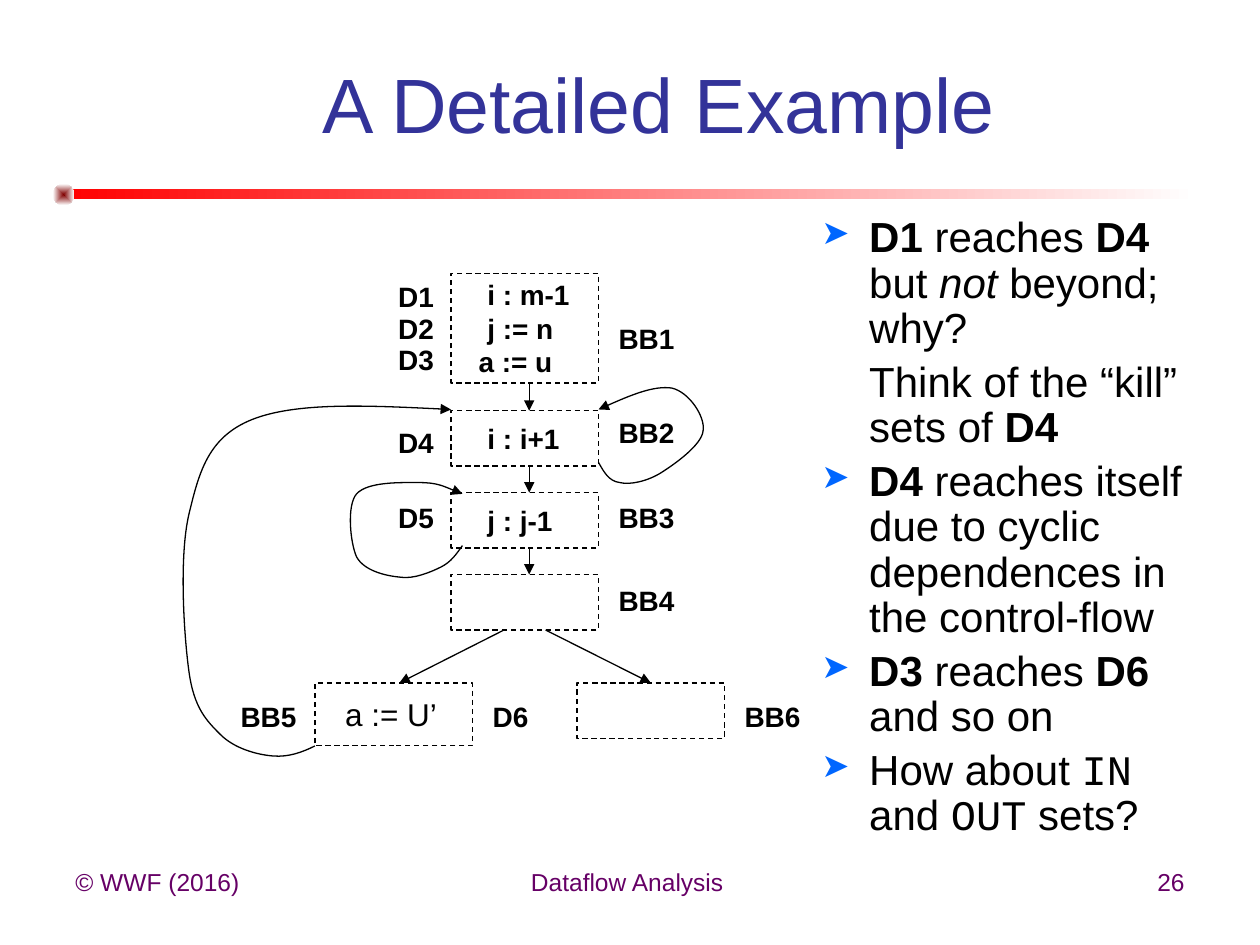
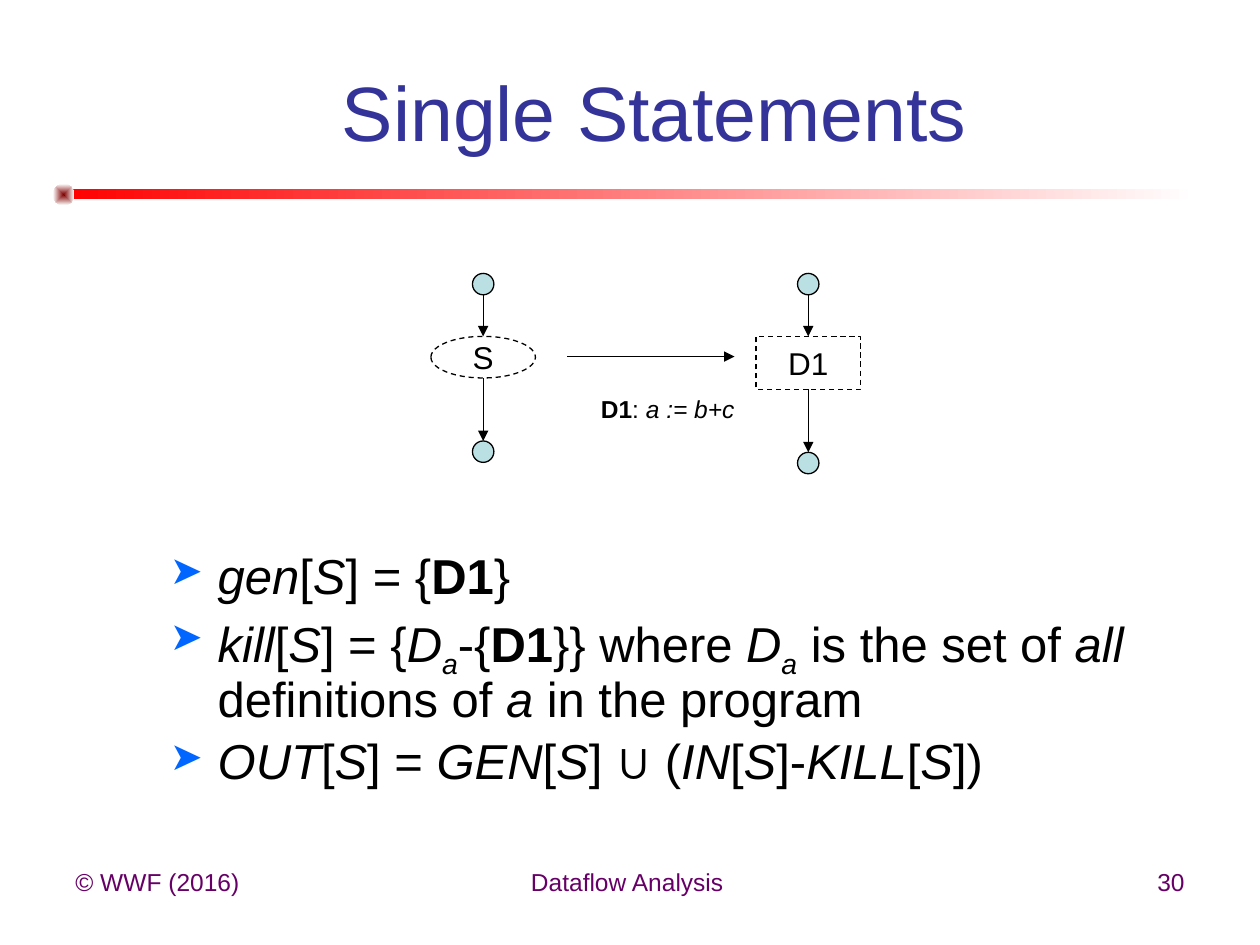
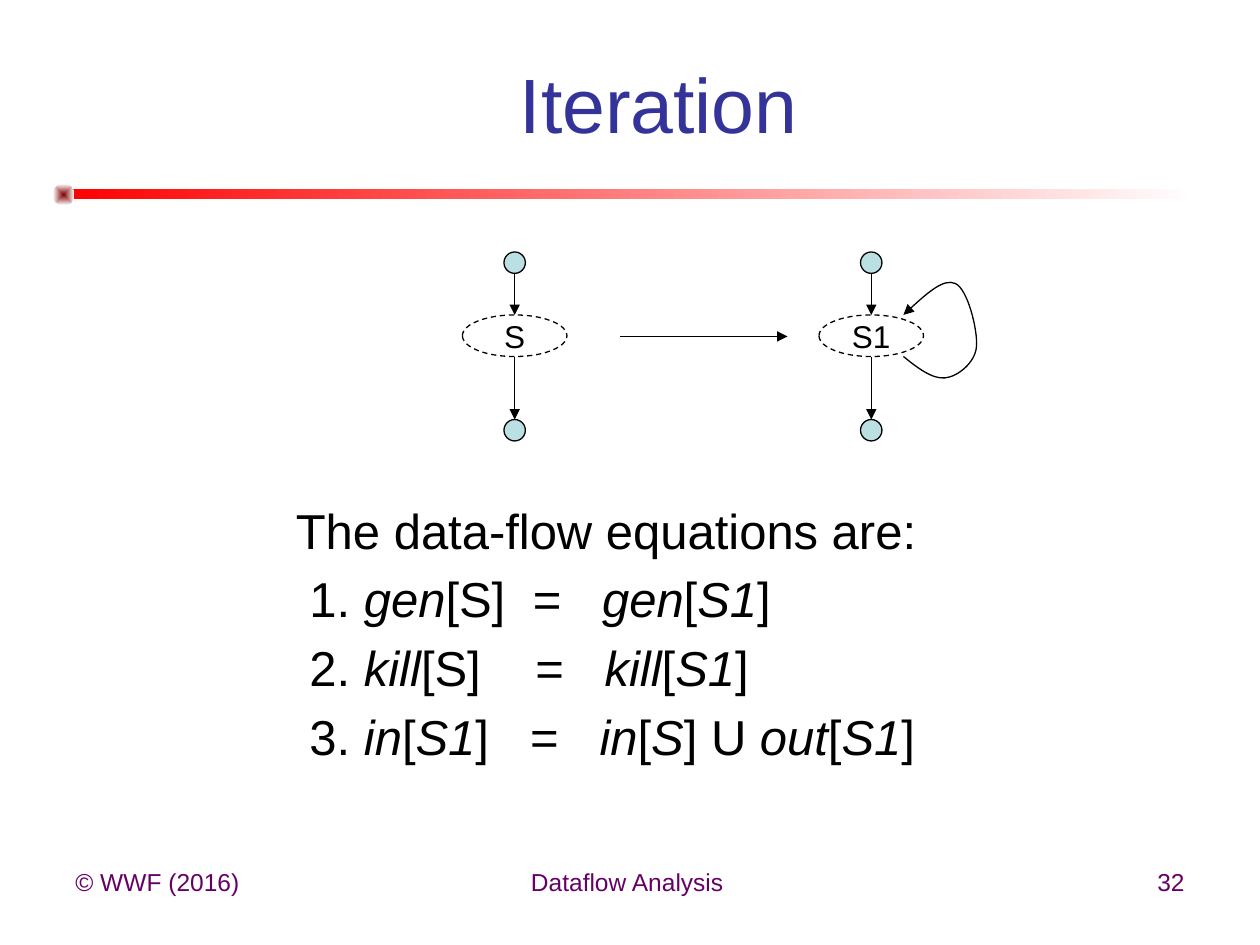
from dataclasses import dataclass

from lxml import etree
from pptx import Presentation
from pptx.dml.color import RGBColor
from pptx.enum.dml import MSO_LINE
from pptx.enum.shapes import MSO_CONNECTOR, MSO_SHAPE
from pptx.enum.text import MSO_ANCHOR, PP_ALIGN
from pptx.oxml.ns import qn
from pptx.util import Inches, Pt

RECTANGLE, OVAL = MSO_SHAPE.RECTANGLE, MSO_SHAPE.OVAL
STRAIGHT, DASH = MSO_CONNECTOR.STRAIGHT, MSO_LINE.DASH
LEFT, CENTER, RIGHT = PP_ALIGN.LEFT, PP_ALIGN.CENTER, PP_ALIGN.RIGHT
TOP, MIDDLE = MSO_ANCHOR.TOP, MSO_ANCHOR.MIDDLE


@dataclass(frozen=True)
class Theme:
    title = RGBColor(0x33, 0x33, 0x99)
    text = RGBColor(0, 0, 0)
    footer = RGBColor(0x66, 0, 0x66)
    band = RGBColor(0xFF, 0, 0)
    knob = RGBColor(0x80, 0, 0)
    paper = RGBColor(0xFF, 0xFF, 0xFF)
    dot = RGBColor(0xBB, 0xE0, 0xE3)
    bullet = "0066FF"
    font = "Arial"
    code_font = "Courier New"
    title_size = 44
    node_size = 18
    label_size = 16
    small_size = 14
    line_width = 0.75


theme = Theme()


def write(shape, paragraphs, size, color=theme.text, align=LEFT, anchor=TOP):
    frame = shape.text_frame
    frame.word_wrap = True
    frame.vertical_anchor = anchor
    for number, spans in enumerate(paragraphs):
        para = frame.add_paragraph() if number else frame.paragraphs[0]
        para.alignment = align
        for marked in spans:
            text, _, style = marked.partition("|")
            span = para.add_run()
            span.text = text
            font = span.font
            font.size = Pt(size)
            font.color.rgb = color
            font.bold = "b" in style
            font.italic = "i" in style
            font.name = theme.code_font if "c" in style else theme.font
            if "s" in style:
                span._r.get_or_add_rPr().set("baseline", "-25000")
    return frame.paragraphs


def outline(shape, visible=True, dashed=False, arrow=False):
    if visible:
        shape.line.color.rgb = theme.text
        shape.line.width = Pt(theme.line_width)
    else:
        shape.line.fill.background()
    if dashed:
        shape.line.dash_style = DASH
    properties = shape._element.spPr
    if arrow:
        etree.SubElement(properties.find(qn("a:ln")), qn("a:tailEnd"), type="triangle")
    etree.SubElement(properties, qn("a:effectLst"))


slides = [
    ("A Detailed Example", "26", (1.16, 0.55, 8.14, 0.53), (6.42, 1.67, 3.08, 5.59), 24, 0.9, [
        ("bullet", (), ["D1|b", " reaches ", "D4|b", " but ", "not|i", " beyond; why?"]),
        ("follow", (), ["Think of the “kill” sets of ", "D4|b"]),
        ("bullet", (), ["D4|b", " reaches itself due to cyclic dependences in the control-flow"]),
        ("bullet", (), ["D3|b", " reaches ", "D6|b", " and so on"]),
        ("bullet", (), ["How about ", "IN|c", " and ", "OUT|c", " sets?"]),
    ]),
    ("Single Statements", "30", (1.5, 0.58, 7.39, 0.6), (1.25, 4.33, 8, 2.26), 28, 0.9, [
        ("bullet", (), ["gen|i", "[", "S|i", "] = {", "D1|b", "}"]),
        ("bullet", (), ["kill|i", "[", "S|i", "] = {", "D|i", "a|is", "-{", "D1|b", "}} where ",
                        "D|i", "a|is", " is the set of ", "all|i", " definitions of ", "a|i",
                        " in the program"]),
        ("bullet", (), ["OUT|i", "[", "S|i", "] = ", "GEN|i", "[", "S|i", "] ∪ (", "IN|i", "[",
                        "S|i", "]-", "KILL|i", "[", "S|i", "])"]),
    ]),
    ("Iteration", "32", (1.16, 0.55, 8.14, 0.53), (2.25, 3.92, 6.75, 4.42), 28, 1.0, [
        ("plain", (), ["The data-flow equations are:"]),
        ("plain", (1.88, 2.43), [" 1.", " gen|i", "[S]\t=\t", "gen|i", "[", "S1|i", "]"]),
        ("plain", (1.9, 2.45), [" 2. ", "kill|i", "[S]\t=\t", "kill|i", "[", "S1|i", "]"]),
        ("plain", (1.86, 2.41), [" 3. ", "in|i", "[", "S1|i", "]\t=\t", "in|i", "[", "S|i",
                                 "] U ", "out|i", "[", "S1|i", "]"]),
    ]),
]

deck = Presentation()
deck.slide_width, deck.slide_height = Inches(10), Inches(7.5)
pages = []

for title, number, title_place, body_place, size, line_spacing, body in slides:
    page = deck.slides.add_slide(deck.slide_layouts[6])
    pages.append(page)

    for kind, place, color in [
        (RECTANGLE, (0.5, 1.5, 9, 0.08), theme.band),
        (OVAL, (0.42, 1.46, 0.17, 0.17), theme.knob),
    ]:
        ornament = page.shapes.add_shape(kind, *map(Inches, place))
        ornament.fill.gradient()
        ornament.fill.gradient_angle = 0
        for stop, shade in zip(ornament.fill.gradient_stops, (color, theme.paper)):
            stop.color.rgb = shade
        outline(ornament, visible=False)
    gradient = ornament._element.spPr.find(qn("a:gradFill"))
    gradient.remove(gradient.find(qn("a:lin")))
    radial = etree.SubElement(gradient, qn("a:path"), path="shape")
    etree.SubElement(radial, qn("a:fillToRect"), l="50000", t="50000", r="50000", b="50000")

    for text, left, width, align in [
        ("© WWF (2016)", 0.5, 2.33, LEFT),
        ("Dataflow Analysis ", 3.42, 3.17, CENTER),
        (number, 7.17, 2.33, RIGHT),
    ]:
        footer = page.shapes.add_textbox(Inches(left), Inches(6.83), Inches(width), Inches(0.52))
        write(footer, [[text]], theme.small_size, theme.footer, align)

    heading = page.shapes.add_textbox(*map(Inches, title_place))
    write(heading, [[title]], theme.title_size, theme.title, CENTER, MIDDLE)

    box = page.shapes.add_textbox(*map(Inches, body_place))
    paras = write(box, [spans for _, _, spans in body], size)
    for order, (para, (role, tab_stops, _)) in enumerate(zip(paras, body)):
        para.line_spacing = line_spacing
        para.space_before = Pt(size * 0.2 if order else 0)
        properties = para._p.get_or_add_pPr()
        if role in ("bullet", "follow"):
            properties.set("marL", str(Inches(0.38)))
        if role == "bullet":
            properties.set("indent", str(-Inches(0.38)))
            tint = etree.SubElement(properties, qn("a:buClr"))
            etree.SubElement(tint, qn("a:srgbClr"), val=theme.bullet)
            etree.SubElement(properties, qn("a:buSzPct"), val="80000")
            etree.SubElement(properties, qn("a:buChar"), char="➤")
        if tab_stops:
            tab_list = etree.SubElement(properties, qn("a:tabLst"))
            for position in tab_stops:
                etree.SubElement(tab_list, qn("a:tab"), pos=str(Inches(position)), algn="l")

example, single, iteration = pages

blocks = {}
for name, place, statements, size in [
    ("BB1", (3.58, 2.17, 1.17, 0.87),
     [("i : m-1|b", 0.19), ("j := n|b", 0.19), ("a := u|b", 0.12)], theme.label_size),
    ("BB2", (3.58, 3.26, 1.17, 0.44), [("i : i+1|b", 0.19)], theme.label_size),
    ("BB3", (3.58, 3.91, 1.17, 0.44), [("j : j-1|b", 0.19)], theme.label_size),
    ("BB4", (3.58, 4.56, 1.17, 0.44), [], theme.label_size),
    ("BB5", (2.5, 5.42, 1.25, 0.5), [("a := U’", 0.14)], theme.node_size),
    ("BB6", (4.58, 5.42, 1.17, 0.44), [], theme.label_size),
]:
    block = example.shapes.add_shape(RECTANGLE, *map(Inches, place))
    block.fill.background()
    outline(block, dashed=True)
    paras = write(block, [[text] for text, _ in statements], size, anchor=MIDDLE)
    for para, (_, indent) in zip(paras, statements):
        para._p.get_or_add_pPr().set("marL", str(Inches(indent)))
    blocks[name] = block

for text, left, top, width in [
    (" D1", 3, 2.17, 0.58), (" D2", 3, 2.42, 0.58), (" D3", 3, 2.67, 0.58),
    (" D4", 3, 3.33, 0.67), (" D5", 3, 3.92, 0.58), (" D6", 3.75, 5.5, 0.58),
    (" BB1", 4.75, 2.5, 0.83), (" BB2", 4.75, 3.25, 0.83), (" BB3", 4.75, 3.92, 0.83),
    (" BB4", 4.75, 4.58, 0.83), (" BB6", 5.75, 5.5, 0.83), (" BB5", 1.75, 5.5, 0.83),
]:
    label = example.shapes.add_textbox(Inches(left), Inches(top), Inches(width), Inches(0.37))
    write(label, [[text + "|b"]], theme.label_size)

arrows = [
    (example, (4.2, 3.04, 4.2, 3.26), None, None),
    (example, (4.2, 3.69, 4.2, 3.91), None, None),
    (example, (4.2, 4.35, 4.2, 4.56), None, None),
    (example, (4, 5, 3.17, 5.42), None, None),
    (example, (4.33, 5, 5.17, 5.42), None, blocks["BB6"]),
    (single, (4.5, 2.83, 5.83, 2.83), None, None),
    (iteration, (4.92, 2.67, 6.25, 2.67), None, None),
]

for page, kind, text, left, top, height in [
    (single, OVAL, "S", 3.42, 2.17, 0.33),
    (single, RECTANGLE, "D1", 6, 2.17, 0.42),
    (iteration, OVAL, "S", 3.67, 2, 0.33),
    (iteration, OVAL, "S1", 6.5, 2, 0.33),
]:
    middle = left + 0.415
    bottom = top + 0.5 + height
    for dot_top in (top, bottom + 0.5):
        dot = page.shapes.add_shape(
            OVAL, Inches(middle - 0.085), Inches(dot_top), Inches(0.17), Inches(0.17))
        dot.fill.solid()
        dot.fill.fore_color.rgb = theme.dot
        outline(dot)
    node = page.shapes.add_shape(
        kind, Inches(left), Inches(top + 0.5), Inches(0.83), Inches(height))
    node.fill.solid()
    node.fill.fore_color.rgb = theme.paper
    outline(node, dashed=True)
    write(node, [[text]], theme.node_size, align=CENTER, anchor=MIDDLE)
    joint = node if kind == RECTANGLE else None
    arrows += [
        (page, (middle, top + 0.17, middle, top + 0.5), None, joint),
        (page, (middle, bottom, middle, bottom + 0.5), joint, None),
    ]

for page, ends, source, target in arrows:
    arrow = page.shapes.add_connector(STRAIGHT, *map(Inches, ends))
    if source:
        arrow.begin_connect(source, 2)
    if target:
        arrow.end_connect(target, 0)
    outline(arrow, arrow=True)

definition = single.shapes.add_textbox(Inches(4.67), Inches(3.08), Inches(1.92), Inches(0.33))
write(definition, [["D1|b", ": ", "a := b+c|i"]], theme.small_size)

for page, knots in [
    (example, [
        (4.75, 3.67), (4.79, 3.74), (4.83, 3.82), (4.92, 3.83), (5, 3.85), (5.14, 3.82),
        (5.25, 3.75), (5.36, 3.68), (5.57, 3.53), (5.58, 3.42), (5.6, 3.31), (5.47, 3.11),
        (5.33, 3.08), (5.19, 3.06), (4.97, 3.15), (4.75, 3.25)]),
    (example, [
        (3.67, 4.33), (3.62, 4.4), (3.58, 4.46), (3.5, 4.5), (3.42, 4.54), (3.28, 4.6),
        (3.17, 4.58), (3.06, 4.57), (2.89, 4.53), (2.83, 4.42), (2.78, 4.31), (2.75, 4.01),
        (2.83, 3.92), (2.92, 3.82), (3.19, 3.83), (3.33, 3.83), (3.47, 3.83), (3.57, 3.88),
        (3.67, 3.92)]),
    (example, [
        (2.5, 5.92), (2.4, 5.97), (2.29, 6.01), (2.17, 6), (2.04, 5.99), (1.86, 5.94),
        (1.75, 5.83), (1.64, 5.72), (1.54, 5.62), (1.5, 5.33), (1.46, 5.04), (1.42, 4.42),
        (1.5, 4.08), (1.58, 3.75), (1.65, 3.47), (2, 3.33), (2.35, 3.19), (2.97, 3.22),
        (3.58, 3.25)]),
    (iteration, [
        (7.17, 2.83), (7.28, 2.92), (7.4, 3.01), (7.5, 3), (7.6, 2.99), (7.74, 2.88),
        (7.75, 2.75), (7.76, 2.62), (7.68, 2.29), (7.58, 2.25), (7.49, 2.21), (7.33, 2.35),
        (7.17, 2.5)]),
]:
    start, *controls = [tuple(map(Inches, knot)) for knot in knots]
    builder = page.shapes.build_freeform(*start)
    builder.add_line_segments(controls, close=False)
    loop = builder.convert_to_shape()
    segments = list(loop._element.spPr.iter(qn("a:lnTo")))
    for first in range(0, len(segments), 3):
        curve = etree.Element(qn("a:cubicBezTo"))
        segments[first].addprevious(curve)
        for segment in segments[first:first + 3]:
            curve.append(segment[0])
            segment.getparent().remove(segment)
    loop.fill.background()
    outline(loop, arrow=True)

deck.save("out.pptx")
